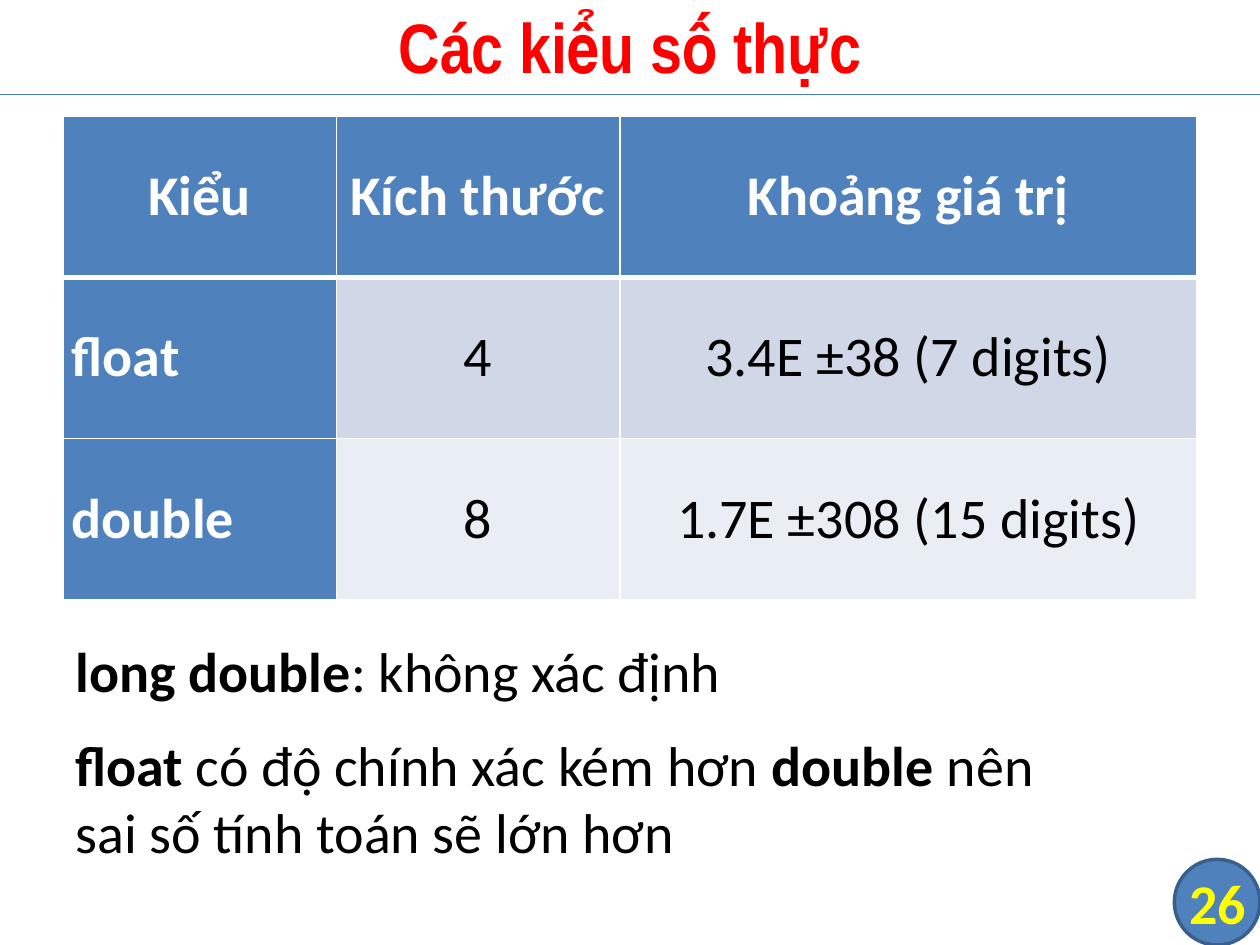
import pptx
import pptx.dml.color
import pptx.enum.shapes
import pptx.enum.text
import pptx.oxml
import pptx.oxml.ns
import pptx.util
from pptx.dml.color import RGBColor
from pptx.enum.text import MSO_ANCHOR, PP_ALIGN
from pptx.util import Inches, Pt

BLUE = RGBColor(0x4F, 0x81, 0xBD)
DARK_BLUE = RGBColor(0x3A, 0x5F, 0x8C)
RULE_BLUE = RGBColor(0x4B, 0x7E, 0xBC)
BAND_DARK = RGBColor(0xD0, 0xD8, 0xE8)
BAND_LIGHT = RGBColor(0xE9, 0xED, 0xF4)
RED = RGBColor(0xFF, 0, 0)
YELLOW = RGBColor(0xFF, 0xFF, 0)
WHITE = RGBColor(0xFF, 0xFF, 0xFF)
BLACK = RGBColor(0, 0, 0)

TYPE_ROWS = [
    ("Kiểu", "Kích thước", "Khoảng giá trị"),
    ("float", "4", "3.4E ±38 (7 digits)"),
    ("double", "8", "1.7E ±308 (15 digits)"),
]
ROW_FILLS = [BLUE, BAND_DARK, BAND_LIGHT]
COLUMN_WIDTHS = [2.17, 2.25, 4.58]
ROW_HEIGHT = 1.28


def set_font(font, color, bold=None, name="Calibri", size=32):
    font.name = name
    font.size = Pt(size)
    font.bold = bold
    font.color.rgb = color


def clear_margins(text_frame):
    text_frame.margin_left = text_frame.margin_right = 0
    text_frame.margin_top = text_frame.margin_bottom = 0


def add_rule(slide):
    line = slide.shapes.add_connector(
        pptx.enum.shapes.MSO_CONNECTOR.STRAIGHT,
        0, Inches(0.75), Inches(10), Inches(0.75))
    line.line.color.rgb = RULE_BLUE
    line.line.width = Pt(0.75)
    properties = line._element.spPr
    properties.append(pptx.oxml.parse_xml(
        f'<a:effectLst {pptx.oxml.ns.nsdecls("a")}/>'))


def format_title(slide, text):
    title = slide.shapes.title
    title.left, title.top = 0, Inches(-0.03)
    title.width, title.height = Inches(10), Inches(0.78)
    text_frame = title.text_frame
    text_frame.text = text
    text_frame.auto_size = pptx.enum.text.MSO_AUTO_SIZE.NONE
    text_frame.vertical_anchor = MSO_ANCHOR.MIDDLE
    paragraph = text_frame.paragraphs[0]
    paragraph.alignment = PP_ALIGN.CENTER
    set_font(paragraph.font, RED, True, "Arial Narrow", 40)


def add_page_badge(slide, number):
    circle = slide.shapes.add_shape(
        pptx.enum.shapes.MSO_SHAPE.FLOWCHART_CONNECTOR,
        Inches(9.32), Inches(6.82), Inches(0.68), Inches(0.68))
    circle.shadow.inherit = False
    circle.fill.solid()
    circle.fill.fore_color.rgb = BLUE
    circle.line.color.rgb = DARK_BLUE
    circle.line.width = Pt(2)

    label = slide.shapes.add_textbox(
        Inches(9.33), Inches(6.82), Inches(0.67), Inches(0.68))
    text_frame = label.text_frame
    text_frame.word_wrap = True
    text_frame.vertical_anchor = MSO_ANCHOR.MIDDLE
    clear_margins(text_frame)
    paragraph = text_frame.paragraphs[0]
    paragraph.text = number
    paragraph.alignment = PP_ALIGN.CENTER
    set_font(paragraph.font, YELLOW, True)


def set_borders(cell, widths):
    """Draw white borders; widths are points for left, right, top, bottom."""
    properties = cell._tc.get_or_add_tcPr()
    for index, (side, width) in enumerate(zip("LRTB", widths)):
        properties.insert(index, pptx.oxml.parse_xml(
            f'<a:ln{side} {pptx.oxml.ns.nsdecls("a")} w="{Pt(width)}">'
            f'<a:solidFill><a:srgbClr val="{WHITE}"/></a:solidFill>'
            f'</a:ln{side}>'))


def format_cell(cell, text, row, column):
    is_heading = row == 0 or column == 0
    cell.fill.solid()
    cell.fill.fore_color.rgb = BLUE if is_heading else ROW_FILLS[row]
    cell.vertical_anchor = MSO_ANCHOR.MIDDLE
    cell.margin_left = cell.margin_right = Inches(0.07)
    cell.margin_top = cell.margin_bottom = 0
    set_borders(cell, (1, 1, 3 if row == 1 else 1, 3 if row == 0 else 1))
    paragraph = cell.text_frame.paragraphs[0]
    paragraph.text = text
    is_type_name = row > 0 and column == 0
    paragraph.alignment = PP_ALIGN.LEFT if is_type_name else PP_ALIGN.CENTER
    paragraph.space_before = paragraph.space_after = Pt(3)
    set_font(paragraph.font, WHITE if is_heading else BLACK, is_heading)


def add_type_table(slide):
    table = slide.shapes.add_table(
        len(TYPE_ROWS), len(COLUMN_WIDTHS), Inches(0.5), Inches(0.92),
        Inches(sum(COLUMN_WIDTHS)), Inches(ROW_HEIGHT * len(TYPE_ROWS))).table
    for column, width in zip(table.columns, COLUMN_WIDTHS):
        column.width = Inches(width)
    for row_index, texts in enumerate(TYPE_ROWS):
        table.rows[row_index].height = Inches(ROW_HEIGHT)
        for column_index, text in enumerate(texts):
            cell = table.cell(row_index, column_index)
            format_cell(cell, text, row_index, column_index)


def add_note(slide, top, width, height, parts):
    """Add a text box whose parts alternate bold and regular, bold first."""
    box = slide.shapes.add_textbox(
        Inches(0.5), Inches(top), Inches(width), Inches(height))
    box.text_frame.word_wrap = True
    paragraph = box.text_frame.paragraphs[0]
    set_font(paragraph.font, BLACK)
    for index, part in enumerate(parts):
        run = paragraph.add_run()
        run.text = part
        run.font.bold = index % 2 == 0


def main():
    presentation = pptx.Presentation()
    presentation.slide_width = Inches(10)
    presentation.slide_height = Inches(7.5)
    title_only = presentation.slide_layouts[5]
    slide = presentation.slides.add_slide(title_only)

    add_rule(slide)
    format_title(slide, "Các kiểu số thực")
    add_page_badge(slide, "26")
    add_type_table(slide)
    add_note(slide, 5, 6, 0.64, ["long double", ": không xác định"])
    add_note(slide, 5.75, 8.08, 1.18, [
        "float", " có độ chính xác kém hơn ",
        "double", " nên sai số tính toán sẽ lớn hơn"])
    presentation.save("out.pptx")


if __name__ == "__main__":
    main()
